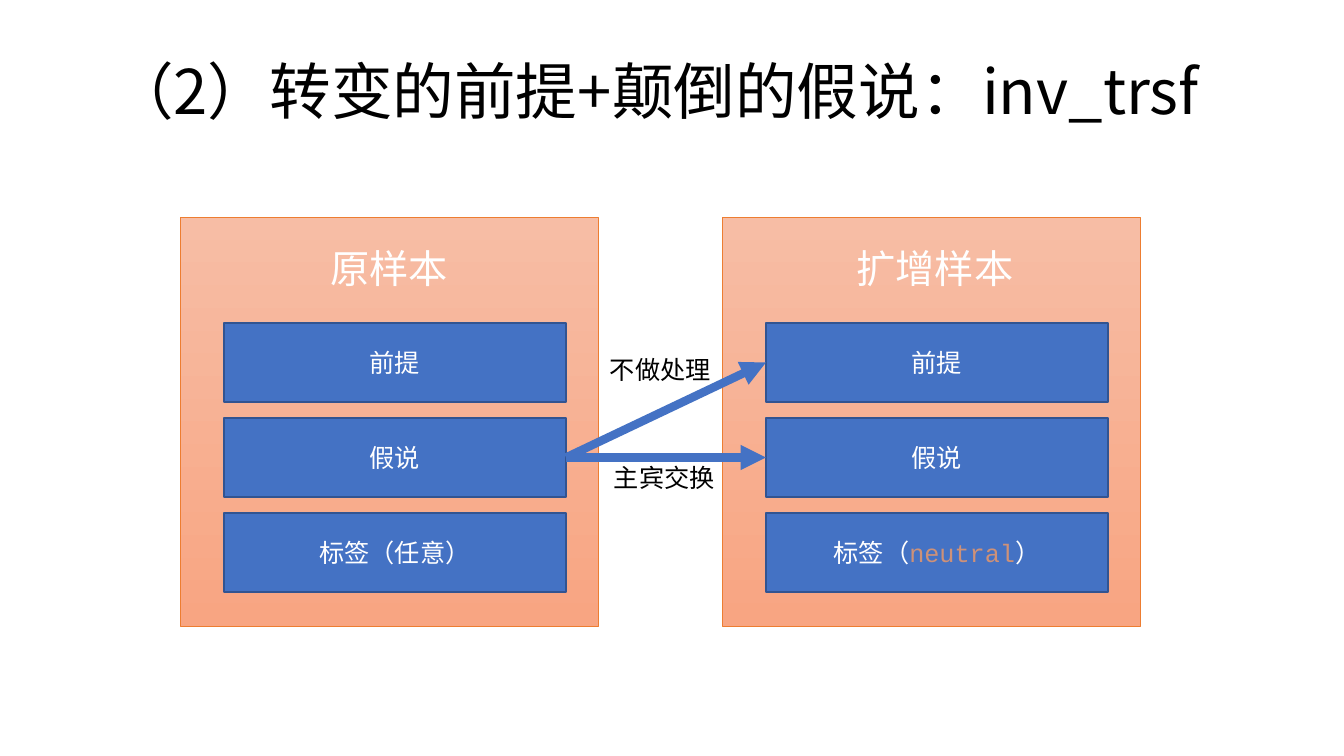
from dataclasses import dataclass

from lxml.etree import SubElement
from pptx import Presentation
from pptx.dml.color import RGBColor
from pptx.enum.shapes import MSO_CONNECTOR, MSO_SHAPE
from pptx.enum.text import MSO_ANCHOR, MSO_AUTO_SIZE, PP_ALIGN
from pptx.oxml.ns import qn
from pptx.shapes.autoshape import Shape
from pptx.shapes.shapetree import GroupShapes
from pptx.text.text import _Paragraph as Paragraph
from pptx.util import Emu, Pt

SCALE = 12192000 / 1344
SANS, MONO = "Noto Sans CJK SC", "Courier New"
BLACK = RGBColor(0x00, 0x00, 0x00)
WHITE = RGBColor(0xFF, 0xFF, 0xFF)
BLUE = RGBColor(0x44, 0x72, 0xC4)
DARK_BLUE = RGBColor(0x32, 0x54, 0x91)
ORANGE = RGBColor(0xED, 0x7D, 0x31)
PEACH_TOP = RGBColor(0xF7, 0xBD, 0xA5)
PEACH_BOTTOM = RGBColor(0xF8, 0xA5, 0x82)
CODE_ORANGE = RGBColor(0xCE, 0x91, 0x78)

PANEL_TOP, PANEL_W, PANEL_H = 217, 418, 409
FIELD_INDENT, FIELD_TOP, FIELD_PITCH = 44, 323, 95
FIELD_W, FIELD_H = 342, 79
CODE_WORD = "neutral"


@dataclass(frozen=True)
class Sample:
    """A panel with a heading and its three fields."""
    left: int
    heading: str
    heading_left: int
    fields: tuple[str, ...]


@dataclass(frozen=True)
class Step:
    """A label beside an arrow that ends at one field."""
    target: int
    label: str
    left: int
    top: int


SAMPLES = (
    Sample(180, "原样本", 285, ("前提", "假说", "标签（任意）")),
    Sample(722, "扩增样本", 831, ("前提", "假说", f"标签（{CODE_WORD}）")),
)
HYPOTHESIS = 1
STEPS = (
    Step(0, "不做处理", 600, 349),
    Step(1, "主宾交换", 604, 457),
)


def px(length: int) -> Emu:
    """Turn pixels into EMU."""
    return Emu(round(length * SCALE))


def box(left: int, top: int, width: int, height: int) -> tuple[Emu, ...]:
    """Turn a pixel rectangle into EMU."""
    return px(left), px(top), px(width), px(height)


def style(paragraph: Paragraph, size: int, color: RGBColor,
          align: PP_ALIGN = PP_ALIGN.LEFT) -> None:
    """Format a paragraph, for Latin and East Asian text alike."""
    paragraph.alignment = align
    font = paragraph.font
    font.size, font.name, font.color.rgb = Pt(size), SANS, color
    defaults = paragraph._p.pPr.find(qn("a:defRPr"))
    SubElement(defaults, qn("a:ea"), typeface=SANS)


def add_rect(shapes: GroupShapes, left: int, top: int, width: int, height: int,
             line: RGBColor, weight: float) -> Shape:
    """Add an outlined rectangle without a shadow."""
    rect = shapes.add_shape(MSO_SHAPE.RECTANGLE, *box(left, top, width, height))
    rect.shadow.inherit = False
    rect.line.color.rgb, rect.line.width = line, Pt(weight)
    return rect


def add_label(shapes: GroupShapes, text: str, left: int, top: int, width: int,
              size: int, color: RGBColor, align: PP_ALIGN) -> None:
    """Add a one-line text box."""
    label = shapes.add_textbox(*box(left, top, width, 40)).text_frame
    label.word_wrap = False
    label.text = text
    style(label.paragraphs[0], size, color, align)


def add_field(shapes: GroupShapes, text: str, left: int, top: int) -> Shape:
    """Add a blue field, with its code word set apart."""
    field = add_rect(shapes, left, top, FIELD_W, FIELD_H, DARK_BLUE, 1)
    field.fill.solid()
    field.fill.fore_color.rgb = BLUE
    field.text_frame.vertical_anchor = MSO_ANCHOR.MIDDLE
    paragraph = field.text_frame.paragraphs[0]
    style(paragraph, 18, WHITE, PP_ALIGN.CENTER)
    before, code, after = text.partition(CODE_WORD)
    for part in filter(None, (before, code, after)):
        run = paragraph.add_run()
        run.text = part
        if part == CODE_WORD:
            run.font.name, run.font.color.rgb = MONO, CODE_ORANGE
    return field


def add_sample(shapes: GroupShapes, sample: Sample) -> list[Shape]:
    """Add a sample panel and return its fields."""
    panel = add_rect(shapes, sample.left, PANEL_TOP, PANEL_W, PANEL_H, ORANGE, 0.5)
    panel.fill.gradient()
    panel.fill.gradient_angle = 270
    for stop, color in zip(panel.fill.gradient_stops, (PEACH_TOP, PEACH_BOTTOM)):
        stop.color.rgb = color
    add_label(shapes, sample.heading, sample.heading_left, 239, 208, 28, WHITE,
              PP_ALIGN.CENTER)
    return [add_field(shapes, text, sample.left + FIELD_INDENT,
                      FIELD_TOP + row * FIELD_PITCH)
            for row, text in enumerate(sample.fields)]


def add_arrow(shapes: GroupShapes, start: Shape, end: Shape) -> None:
    """Join the right side of one field to the left side of another."""
    arrow = shapes.add_connector(MSO_CONNECTOR.STRAIGHT, 0, 0, 0, 0)
    arrow.begin_connect(start, 3)
    arrow.end_connect(end, 1)
    arrow.line.color.rgb, arrow.line.width = BLUE, Pt(6)
    SubElement(arrow.line._get_or_add_ln(), qn("a:tailEnd"), type="triangle")
    SubElement(arrow._element.spPr, qn("a:effectLst"))


def add_title(title: Shape) -> None:
    """Place and format the slide title."""
    title.left, title.top, title.width, title.height = box(102, 22, 1159, 146)
    frame = title.text_frame
    frame.text = "（2）转变的前提+颠倒的假说：inv_trsf"
    frame.word_wrap, frame.auto_size = True, MSO_AUTO_SIZE.NONE
    frame.vertical_anchor = MSO_ANCHOR.MIDDLE
    frame.paragraphs[0].line_spacing = 0.9
    style(frame.paragraphs[0], 44, BLACK)


def main() -> None:
    """Build and save the slide."""
    deck = Presentation()
    deck.slide_width, deck.slide_height = px(1344), px(756)
    slide = deck.slides.add_slide(deck.slide_layouts[5])
    add_title(slide.shapes.title)
    diagram = slide.shapes.add_group_shape().shapes
    source, augmented = [add_sample(diagram, sample) for sample in SAMPLES]
    for step in STEPS:
        add_arrow(diagram, source[HYPOTHESIS], augmented[step.target])
        add_label(diagram, step.label, step.left, step.top, 122, 18, BLACK,
                  PP_ALIGN.LEFT)
    deck.save("out.pptx")


main()
